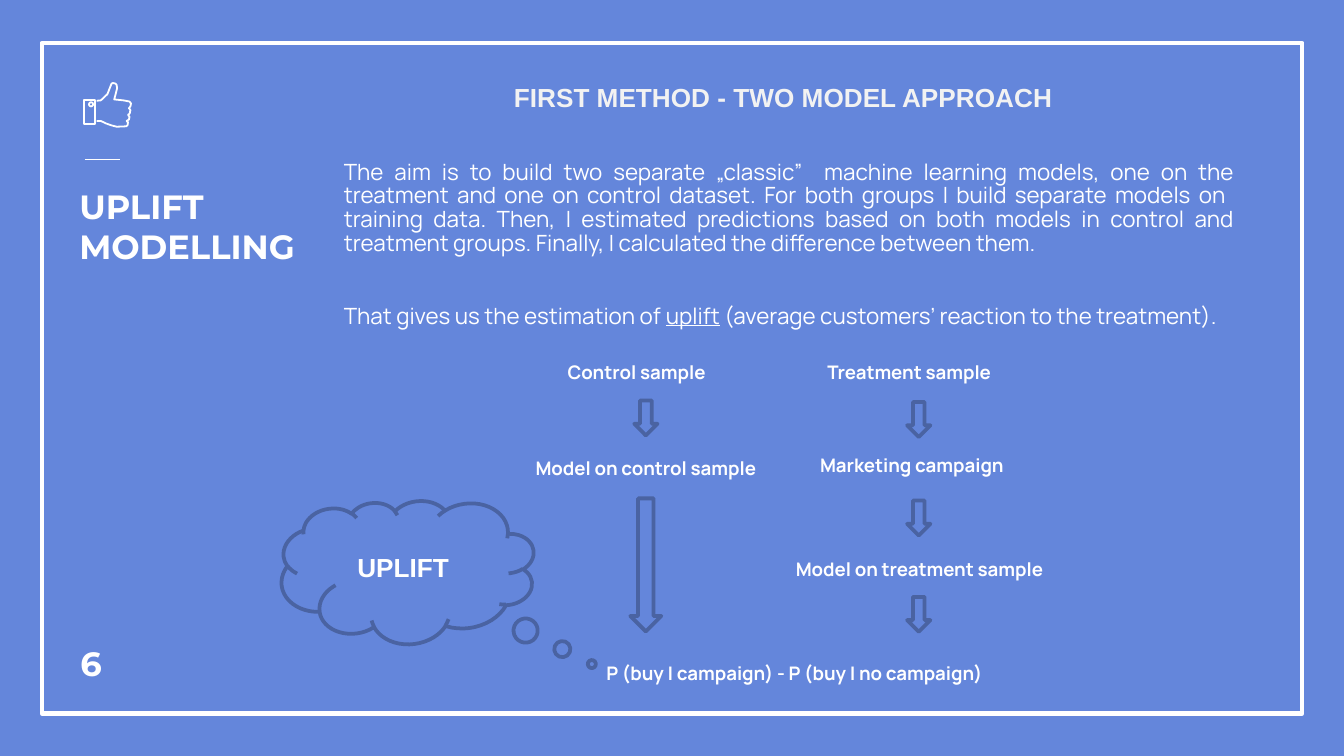
"""Build the uplift modelling slide about the two model approach."""
from math import cos, pi, sin

from lxml.etree import SubElement
from pptx import Presentation
from pptx.dml.color import RGBColor
from pptx.enum.shapes import MSO_CONNECTOR as Connector, MSO_SHAPE as Preset
from pptx.enum.text import MSO_ANCHOR as Anchor, MSO_AUTO_SIZE as AutoSize, PP_ALIGN as Align
from pptx.oxml.ns import qn
from pptx.util import Pt

THEME = {
    "background": RGBColor.from_string("6486DB"),
    "outline": RGBColor.from_string("4A63A2"),
    "white": RGBColor.from_string("FFFFFF"),
    "title": {"name": "Montserrat", "size": Pt(18), "bold": True},
    "heading": {"name": "Arial", "size": Pt(14), "bold": True},
    "body": {"name": "Manrope", "size": Pt(12), "bold": False},
    "label": {"name": "Manrope", "size": Pt(10), "bold": True},
}
HEADING_COLOR = RGBColor.from_string("F2F2F2")

TITLE = "UPLIFT MODELLING"
HEADING = "FIRST METHOD - TWO MODEL APPROACH"
BODY = [
    (6, [("The aim is to build two separate „classic”  machine learning models, one on the "
          "treatment and one on control dataset. For both groups I build separate models on  "
          "training data. Then, I estimated predictions based on both models in control and "
          "treatment groups. Finally, I calculated the difference between them.", False)]),
    (26.4, [("That gives us the estimation of ", False), ("uplift", True),
            (" (average customers’ reaction to the treatment).", False)]),
]
LABELS = [
    ("Control sample", 341, 190, 100),
    ("Treatment sample", 487, 190, 123),
    ("Model on control sample", 346, 241, 136),
    ("Marketing campaign", 488.5, 239.8, 117),
    ("Model on treatment sample", 492.5, 295.2, 154),
    ("P (buy | campaign) - P (buy | no campaign)", 425.5, 351.2, 220),
]
ARROWS = [
    (346, 214.6, 12.5, 18.7),
    (346, 267, 16.6, 71.3),
    (492.2, 215.4, 12.5, 18.7),
    (492.2, 268.2, 12.5, 18.7),
    (492.2, 319.8, 12.5, 18.7),
]
CUFF = [(45, 53.6), (45, 66.6), (51, 66.6), (51, 53.6)]
RIVET = [(48.8 + 1.1 * cos(step * pi / 6), 55.9 + 1.1 * sin(step * pi / 6)) for step in range(12)]
HAND = [
    (51.8, 64.8), (54, 64.8), (56.9, 66.2), (59.8, 67.2), (62.6, 67.9), (67.7, 67.7),
    (68.4, 67), (68.6, 65.5), (67.9, 64.8), (69.1, 64.1), (69.4, 62.6), (68.6, 61.6),
    (69.5, 60.8), (69.9, 59), (69.1, 58), (69.9, 57), (70.2, 55.4), (69.3, 54.4),
    (66.2, 53.8), (61.2, 53.3), (62, 50.4), (62.7, 47.5), (62.6, 45.7), (61.9, 44.8),
    (60.5, 44.5), (59.8, 44.8), (59, 46.8), (57.6, 50.4), (55.4, 52.6), (54, 53.8), (51.8, 54),
]


def set_values(target, values):
    for name, value in values.items():
        setattr(target, name, value)


def place(shape, left, top, width, height):
    set_values(shape, {"left": Pt(left), "top": Pt(top), "width": Pt(width), "height": Pt(height)})


def set_frame(frame, margins, anchor=Anchor.TOP):
    side, edge = margins
    set_values(frame, {
        "word_wrap": True, "auto_size": AutoSize.NONE, "vertical_anchor": anchor,
        "margin_left": Pt(side), "margin_right": Pt(side),
        "margin_top": Pt(edge), "margin_bottom": Pt(edge)})


def add_run(paragraph, text, style, color=THEME["white"], underline=False):
    run = paragraph.add_run()
    run.text = text
    set_values(run.font, {**THEME[style], "underline": underline})
    run.font.color.rgb = color


def add_text(slide, box, text, style, align=Align.CENTER, color=THEME["white"],
             margins=(7.2, 3.6), anchor=Anchor.TOP):
    frame = slide.shapes.add_textbox(*map(Pt, box)).text_frame
    set_frame(frame, margins, anchor)
    paragraph = frame.paragraphs[0]
    paragraph.alignment = align
    add_run(paragraph, text, style, color)


def set_outline(shape, color, width, fill=None):
    shape.shadow.inherit = False
    shape.line.color.rgb = color
    shape.line.width = Pt(width)
    if fill is None:
        shape.fill.background()
    else:
        shape.fill.solid()
        shape.fill.fore_color.rgb = fill


def add_diagram_shape(slide, preset, box):
    shape = slide.shapes.add_shape(preset, *map(Pt, box))
    set_outline(shape, THEME["outline"], 2, THEME["background"])
    return shape


def add_outline(slide, contours, close):
    points = [[(Pt(x), Pt(y)) for x, y in contour] for contour in contours]
    builder = slide.shapes.build_freeform(*points[0][0])
    for index, contour in enumerate(points):
        if index:
            builder.move_to(*contour[0])
        builder.add_line_segments(contour[1:], close=close)
    set_outline(builder.convert_to_shape(), THEME["white"], 0.96)


def add_decoration(slide):
    frame = slide.shapes.add_shape(Preset.RECTANGLE, *map(Pt, (22.3, 23, 675.4, 359.3)))
    set_outline(frame, THEME["white"], 2.25)
    rule = slide.shapes.add_connector(Connector.STRAIGHT, *map(Pt, (45.4, 85.5, 64.1, 85.5)))
    rule.line.color.rgb = THEME["white"]
    rule.line.width = Pt(0.75)
    SubElement(rule._element.spPr, qn("a:effectLst"))
    add_outline(slide, [CUFF, RIVET], True)
    add_outline(slide, [HAND], False)


def fill_placeholders(slide):
    title, body = slide.placeholders
    place(title, 35.3, 92.2, 170, 64)
    place(body, 177, 79.2, 491.8, 191.5)
    for shape in (title, body):
        set_frame(shape.text_frame, (7.2, 7.2))
    paragraph = title.text_frame.paragraphs[0]
    paragraph.alignment = Align.LEFT
    add_run(paragraph, TITLE, "title")
    for index, (space, runs) in enumerate(BODY):
        frame = body.text_frame
        paragraph = frame.add_paragraph() if index else frame.paragraphs[0]
        set_values(paragraph, {"alignment": Align.JUSTIFY, "space_before": Pt(space),
                               "line_spacing": 0.88})
        for text, underline in runs:
            add_run(paragraph, text, "body", underline=underline)


def add_diagram(slide):
    cloud = add_diagram_shape(slide, Preset.CLOUD_CALLOUT, (150.5, 267.1, 136.1, 77.8))
    cloud.adjustments[0], cloud.adjustments[1] = -0.67, 0.8
    cloud.rotation = 172.5
    cloud._element.spPr.get_or_add_xfrm().set("flipV", "1")
    add_text(slide, (184.3, 291.6, 80.6, 24.5), "UPLIFT", "heading", Align.LEFT)
    for text, center, top, width in LABELS:
        add_text(slide, (center - width / 2, top, width, 19.4), text, "label")
    for center, top, width, height in ARROWS:
        add_diagram_shape(slide, Preset.DOWN_ARROW, (center - width / 2, top, width, height))


def main():
    presentation = Presentation()
    set_values(presentation, {"slide_width": Pt(720), "slide_height": Pt(405)})
    slide = presentation.slides.add_slide(presentation.slide_layouts[2])
    slide.background.fill.solid()
    slide.background.fill.fore_color.rgb = THEME["background"]
    add_decoration(slide)
    fill_placeholders(slide)
    add_text(slide, (177, 40.3, 485.3, 24.5), HEADING, "heading", color=HEADING_COLOR)
    add_text(slide, (36, 329.8, 43.2, 43.2), "6", "title", Align.LEFT,
             margins=(7.2, 7.2), anchor=Anchor.BOTTOM)
    add_diagram(slide)
    presentation.save("out.pptx")


if __name__ == "__main__":
    main()
